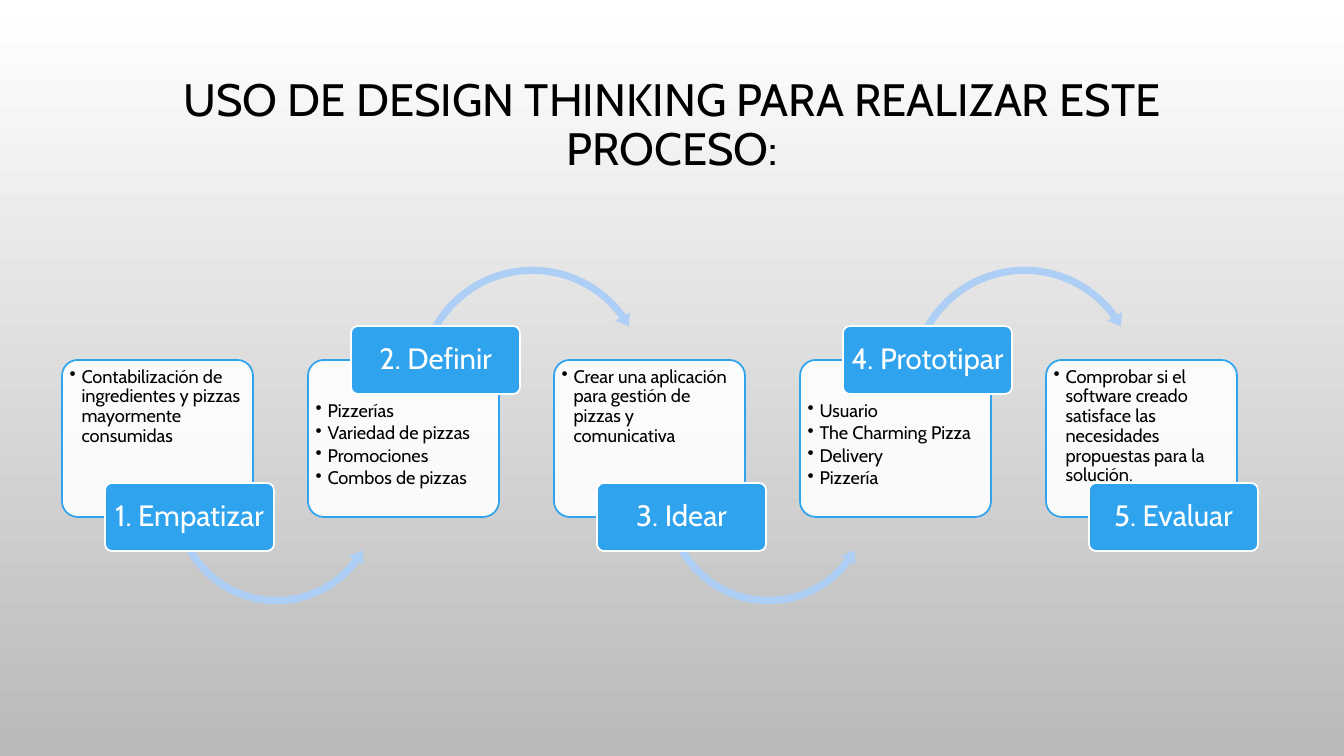
"""Build a slide with the five Design Thinking steps of a pizza project."""
from dataclasses import dataclass

from lxml import etree
from pptx import Presentation
from pptx.dml.color import RGBColor
from pptx.enum import shapes, text
from pptx.oxml import ns
from pptx import util as u


@dataclass(frozen=True)
class Theme:
    """Hold the colours, font and type sizes."""
    font: str = "Cabin"
    black: RGBColor = RGBColor(0x00, 0x00, 0x00)
    white: RGBColor = RGBColor(0xFF, 0xFF, 0xFF)
    gray: RGBColor = RGBColor(0xB9, 0xB9, 0xB9)
    blue: RGBColor = RGBColor(0x2F, 0xA3, 0xEE)
    pale_blue: RGBColor = RGBColor(0xAD, 0xCE, 0xF5)
    title_size: float = 32.4
    label_size: float = 21
    list_size: float = 13
    line_width: float = 1.25
    line_spacing: float = 0.9


THEME = Theme()
EMU_PER_PX = 914400 / 100.8
FIRST_LEFT, STEP_PITCH = 62, 246
CARD_OPACITY = 90000

TITLE = "USO DE DESIGN THINKING PARA REALIZAR ESTE PROCESO:"
STEPS = [
    ("1. Empatizar", ["Contabilización de ingredientes y pizzas mayormente consumidas"]),
    ("2. Definir", ["Pizzerías", "Variedad de pizzas", "Promociones", "Combos de pizzas"]),
    ("3. Idear", ["Crear una aplicación para gestión de pizzas y comunicativa"]),
    ("4. Prototipar", ["Usuario", "The Charming Pizza", "Delivery", "Pizzería"]),
    ("5. Evaluar", ["Comprobar si el software creado satisface las necesidades "
                    "propuestas para la solución."]),
]


def px(value):
    """Turn px into EMU."""
    return u.Emu(round(value * EMU_PER_PX))


def paint_background(slide):
    """Fill the slide with a vertical gradient."""
    fill = slide.background.fill
    fill.gradient()
    fill.gradient_angle = 270
    for stop, colour in zip(fill.gradient_stops, (THEME.white, THEME.gray)):
        stop.color.rgb = colour


def add_plain_shape(slide, kind, box, fill, line=None):
    """Add a preset shape with a flat fill and an optional outline."""
    shape = slide.shapes.add_shape(kind, *map(px, box))
    shape.shadow.inherit = False
    shape.fill.solid()
    shape.fill.fore_color.rgb = fill
    if line is None:
        shape.line.fill.background()
    else:
        shape.line.color.rgb = line
        shape.line.width = u.Pt(THEME.line_width)
    return shape


def add_rounded(slide, box, fill, line):
    """Add a rounded rectangle with slightly rounded corners."""
    shape = add_plain_shape(slide, shapes.MSO_SHAPE.ROUNDED_RECTANGLE, box, fill, line)
    shape.adjustments[0] = 0.1
    return shape


def set_frame(frame, anchor, insets):
    """Set the wrapping, anchor and left, top, right, bottom insets."""
    frame.word_wrap = True
    frame.auto_size = text.MSO_AUTO_SIZE.NONE
    frame.vertical_anchor = anchor
    (frame.margin_left, frame.margin_top,
     frame.margin_right, frame.margin_bottom) = map(px, insets)


def write(paragraph, words, size, colour, alignment):
    """Write one styled run into a paragraph."""
    paragraph.alignment = alignment
    paragraph.line_spacing = THEME.line_spacing
    run = paragraph.add_run()
    run.text = words
    run.font.name = THEME.font
    run.font.size = u.Pt(size)
    run.font.color.rgb = colour


def add_bullet(paragraph):
    """Give a paragraph a hanging bullet."""
    properties = paragraph._p.get_or_add_pPr()
    properties.set("marL", str(px(12)))
    properties.set("indent", str(-px(12)))
    etree.SubElement(properties, ns.qn("a:buChar")).set("char", "•")


def add_title(slide):
    """Place and write the slide title."""
    title = slide.shapes.title
    title.left, title.top, title.width, title.height = map(px, (101, 69, 1142, 115))
    set_frame(title.text_frame, text.MSO_ANCHOR.MIDDLE, (10, 5, 10, 5))
    write(title.text_frame.paragraphs[0], TITLE, THEME.title_size, THEME.black,
          text.PP_ALIGN.CENTER)


def add_card(slide, left, items, text_top):
    """Add a translucent card with a bulleted list."""
    card = add_rounded(slide, (left, 360, 191, 157), THEME.white, THEME.blue)
    colour = card._element.spPr.find(ns.qn("a:solidFill"))[0]
    etree.SubElement(colour, ns.qn("a:alpha")).set("val", str(CARD_OPACITY))
    frame = card.text_frame
    set_frame(frame, text.MSO_ANCHOR.TOP, (3, text_top, 3, 3))
    for index, item in enumerate(items):
        paragraph = frame.add_paragraph() if index else frame.paragraphs[0]
        paragraph.level = 1
        paragraph.space_after = u.Pt(2)
        write(paragraph, item, THEME.list_size, THEME.black, text.PP_ALIGN.LEFT)
        add_bullet(paragraph)


def add_arrow(slide, left, above):
    """Add the curved arrow that leads to the next step."""
    if above:
        kind = shapes.MSO_SHAPE.CIRCULAR_ARROW
        box = (left + 105, 262, 239, 239)
        adjustments = (0.03, 3.7, 194.54, 125.76, 0.035)
    else:
        kind = shapes.MSO_SHAPE.LEFT_CIRCULAR_ARROW
        box = (left + 107, 394, 215, 215)
        adjustments = (0.034, 4.16, 21.91, 90.25, 0.039)
    arrow = add_plain_shape(slide, kind, box, THEME.pale_blue)
    for index, value in enumerate(adjustments):
        arrow.adjustments[index] = value


def add_label(slide, left, name, above):
    """Add the blue label that names a step."""
    box = (left + 43, 326 if above else 483, 169, 68)
    label = add_rounded(slide, box, THEME.blue, THEME.white)
    set_frame(label.text_frame, text.MSO_ANCHOR.MIDDLE, (4, 3, 4, 3))
    write(label.text_frame.paragraphs[0], name, THEME.label_size, THEME.white,
          text.PP_ALIGN.CENTER)


def main():
    """Build and save the presentation."""
    presentation = Presentation()
    presentation.slide_width, presentation.slide_height = px(1344), px(756)
    slide = presentation.slides.add_slide(presentation.slide_layouts[5])
    paint_background(slide)
    add_title(slide)
    for index, (name, items) in enumerate(STEPS):
        left = FIRST_LEFT + index * STEP_PITCH
        above = index % 2 == 1
        add_card(slide, left, items, 37 if above else 3)
        if index < len(STEPS) - 1:
            add_arrow(slide, left, above)
        add_label(slide, left, name, above)
    presentation.save("out.pptx")


if __name__ == "__main__":
    main()
